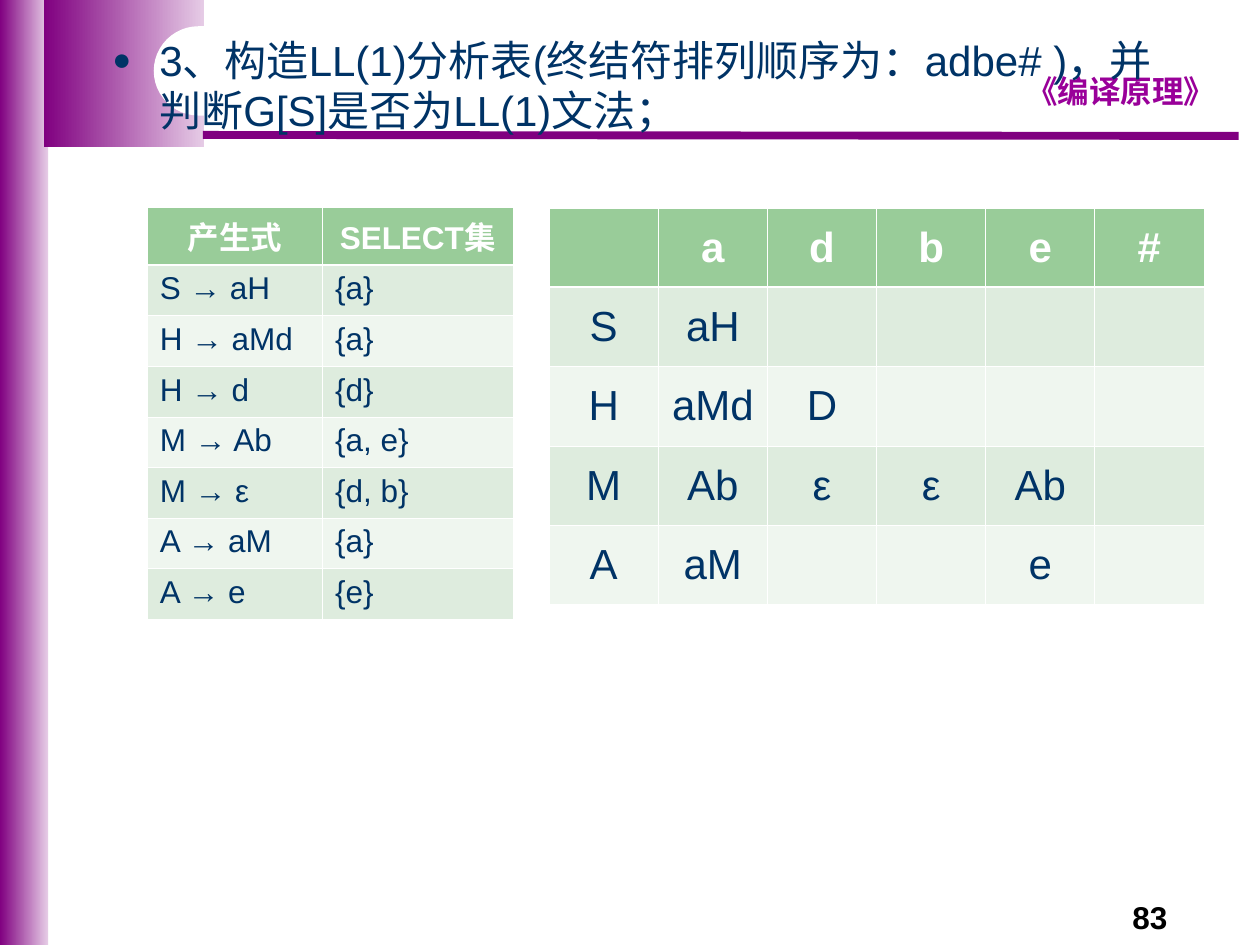
"""Build a slide with the SELECT sets and the LL(1) parsing table of a grammar."""
from dataclasses import dataclass
from typing import Sequence

from lxml.etree import SubElement
from pptx import Presentation
from pptx.dml.color import RGBColor
from pptx.enum.shapes import MSO_CONNECTOR, MSO_SHAPE
from pptx.enum.text import MSO_ANCHOR as Anchor, MSO_AUTO_SIZE as AutoSize, PP_ALIGN as Align
from pptx.oxml.ns import qn
from pptx.util import Cm, Pt

PURPLE, LILAC, MAGENTA = "800080", "E6CCE6", "990099"
NAVY, WHITE, BLACK = "003366", "FFFFFF", "000000"
HEADER_GREEN, BAND_GREENS = "99CC99", ("DEECDE", "EFF6EF")
THIN, THICK = Pt(0.45), Pt(1.47)


@dataclass(frozen=True)
class Box:
    left: float
    top: float
    width: float
    height: float

    def lengths(self) -> tuple:
        return Cm(self.left), Cm(self.top), Cm(self.width), Cm(self.height)


@dataclass(frozen=True)
class TextStyle:
    size: float
    color: str
    bold: bool = False
    font: str = "Arial"
    align: Align = Align.LEFT


@dataclass(frozen=True)
class Grid:
    left: float
    top: float
    column_widths: Sequence[float]
    row_height: float
    rows: Sequence[Sequence[str]]
    size: float
    body_align: Align
    body_anchor: Anchor


SELECT_SETS = Grid(2.97, 4.17, (3.53, 3.84), 1.02, (
    ("产生式", "SELECT集"),
    ("S → aH", "{a}"),
    ("H → aMd", "{a}"),
    ("H → d", "{d}"),
    ("M → Ab", "{a, e}"),
    ("M → ε", "{d, b}"),
    ("A → aM", "{a}"),
    ("A → e", "{e}"),
), 18, Align.LEFT, Anchor.TOP)

PARSING_TABLE = Grid(11.07, 4.19, (2.2,) * 6, 1.6, (
    ("", "a", "d", "b", "e", "#"),
    ("S", "aH", "", "", "", ""),
    ("H", "aMd", "D", "", "", ""),
    ("M", "Ab", "ε", "ε", "Ab", ""),
    ("A", "aM", "", "", "e", ""),
), 24, Align.CENTER, Anchor.MIDDLE)


def rgb(color: str) -> RGBColor:
    return RGBColor.from_string(color)


def write(text_frame, text: str, style: TextStyle) -> None:
    text_frame.text = text
    paragraph = text_frame.paragraphs[0]
    paragraph.alignment = style.align
    for run in paragraph.runs:
        run.font.name = style.font
        run.font.size = Pt(style.size)
        run.font.bold = style.bold
        run.font.color.rgb = rgb(style.color)


def add_panel(slide, box: Box, colors: Sequence[str], kind=MSO_SHAPE.RECTANGLE):
    shape = slide.shapes.add_shape(kind, *box.lengths())
    shape.shadow.inherit = False
    shape.line.fill.background()
    if len(colors) == 1:
        shape.fill.solid()
        shape.fill.fore_color.rgb = rgb(colors[0])
    else:
        shape.fill.gradient()
        shape.fill.gradient_angle = 0
        for stop, color in zip(shape.fill.gradient_stops, colors):
            stop.color.rgb = rgb(color)
    return shape


def add_rule(slide, start: tuple, end: tuple) -> None:
    points = [Cm(value) for value in start + end]
    connector = slide.shapes.add_connector(MSO_CONNECTOR.STRAIGHT, *points)
    connector.line.color.rgb = rgb(PURPLE)
    connector.line.width = Pt(4.5)
    SubElement(connector._element.spPr, qn("a:effectLst"))


def add_label(slide, box: Box, text: str, style: TextStyle) -> None:
    text_frame = slide.shapes.add_textbox(*box.lengths()).text_frame
    text_frame.word_wrap = True
    write(text_frame, text, style)


def add_bullet(paragraph) -> None:
    properties = paragraph._p.get_or_add_pPr()
    properties.set("marL", str(Cm(0.95)))
    properties.set("indent", str(Cm(-0.95)))
    color = SubElement(properties, qn("a:buClr"))
    SubElement(color, qn("a:srgbClr"), val=NAVY)
    SubElement(properties, qn("a:buSzPct"), val="75000")
    SubElement(properties, qn("a:buFont"), typeface="Arial")
    SubElement(properties, qn("a:buChar"), char="●")


def place_title(slide, box: Box, text: str) -> None:
    title = slide.shapes.title
    title.left, title.top, title.width, title.height = box.lengths()
    text_frame = title.text_frame
    text_frame.word_wrap = True
    text_frame.auto_size = AutoSize.NONE
    text_frame.vertical_anchor = Anchor.TOP
    write(text_frame, text, TextStyle(24, NAVY))
    add_bullet(text_frame.paragraphs[0])
    slide.shapes._spTree.append(title._element)


def set_borders(cell, top: int, bottom: int) -> None:
    properties = cell._tc.get_or_add_tcPr()
    for side, width in (("L", THIN), ("R", THIN), ("T", top), ("B", bottom)):
        line = SubElement(properties, qn(f"a:ln{side}"), w=str(width))
        fill = SubElement(line, qn("a:solidFill"))
        SubElement(fill, qn("a:srgbClr"), val=WHITE)


def add_grid(slide, grid: Grid) -> None:
    box = Box(grid.left, grid.top, sum(grid.column_widths), grid.row_height * len(grid.rows))
    table = slide.shapes.add_table(len(grid.rows), len(grid.column_widths), *box.lengths()).table
    for column, width in zip(table.columns, grid.column_widths):
        column.width = Cm(width)
    header_style = TextStyle(grid.size, WHITE, bold=True, align=Align.CENTER)
    body_style = TextStyle(grid.size, NAVY, align=grid.body_align)
    for row, texts in enumerate(grid.rows):
        table.rows[row].height = Cm(grid.row_height)
        is_header = row == 0
        for column, text in enumerate(texts):
            cell = table.cell(row, column)
            set_borders(cell, THICK if row == 1 else THIN, THICK if is_header else THIN)
            cell.fill.solid()
            cell.fill.fore_color.rgb = rgb(HEADER_GREEN if is_header else BAND_GREENS[(row - 1) % 2])
            cell.vertical_anchor = Anchor.MIDDLE if is_header else grid.body_anchor
            write(cell.text_frame, text, header_style if is_header else body_style)


def main() -> None:
    presentation = Presentation()
    presentation.slide_width, presentation.slide_height = Cm(25.4), Cm(19.05)
    slide = presentation.slides.add_slide(presentation.slide_layouts[5])
    add_panel(slide, Box(0, 0, 0.97, 19.05), (PURPLE, LILAC))
    add_panel(slide, Box(0.89, 0, 3.23, 2.97), (PURPLE, LILAC))
    add_rule(slide, (4.09, 2.72), (24.97, 2.74))
    add_label(slide, Box(20.09, 1.32, 5, 1.02), "《编译原理》",
              TextStyle(18, MAGENTA, bold=True, font="Comic Neue", align=Align.CENTER))
    pill = add_panel(slide, Box(3.1, 0.53, 9.19, 1.8), (WHITE,), MSO_SHAPE.ROUNDED_RECTANGLE)
    pill.adjustments[0] = 0.5
    add_label(slide, Box(22.58, 17.98, 2.03, 0.76), "83", TextStyle(18, BLACK, bold=True))
    place_title(slide, Box(2.01, 0.56, 21.59, 2.72),
                "3、构造LL(1)分析表(终结符排列顺序为：adbe# )，并判断G[S]是否为LL(1)文法；")
    add_grid(slide, PARSING_TABLE)
    add_grid(slide, SELECT_SETS)
    presentation.save("out.pptx")


if __name__ == "__main__":
    main()
